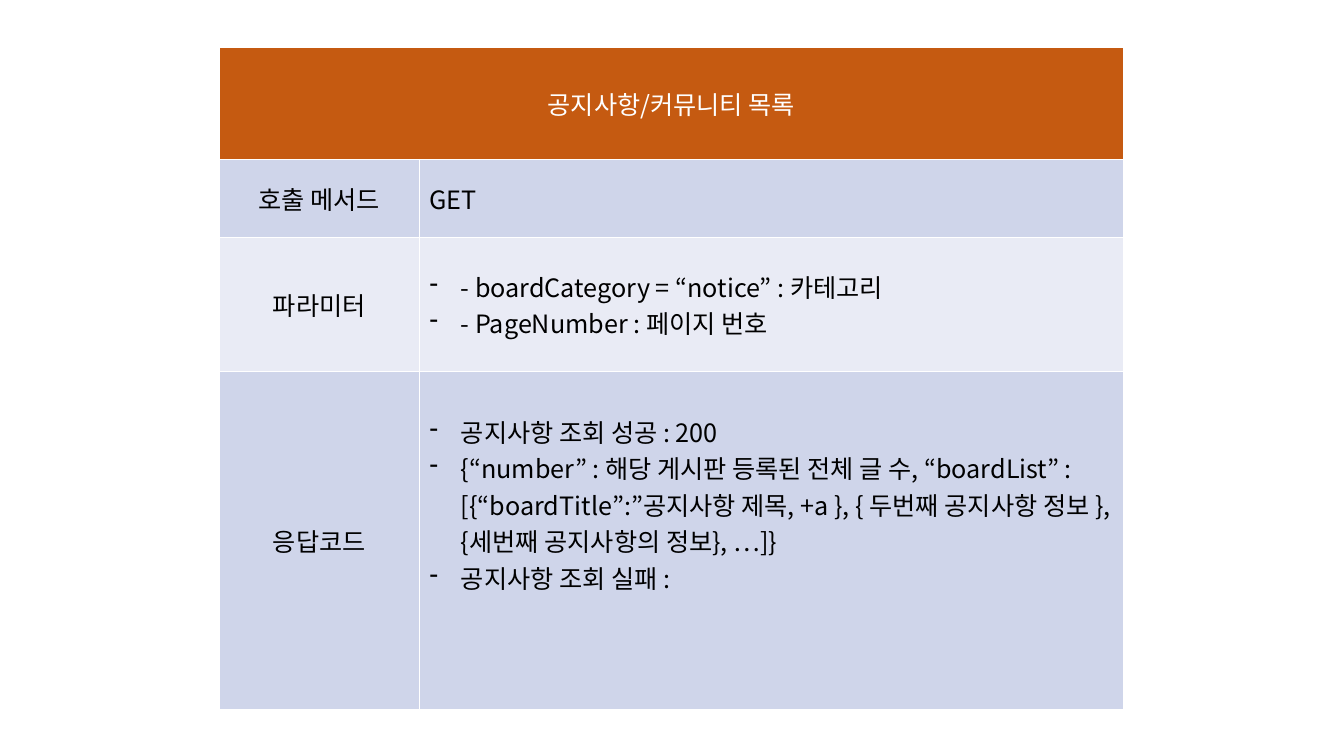
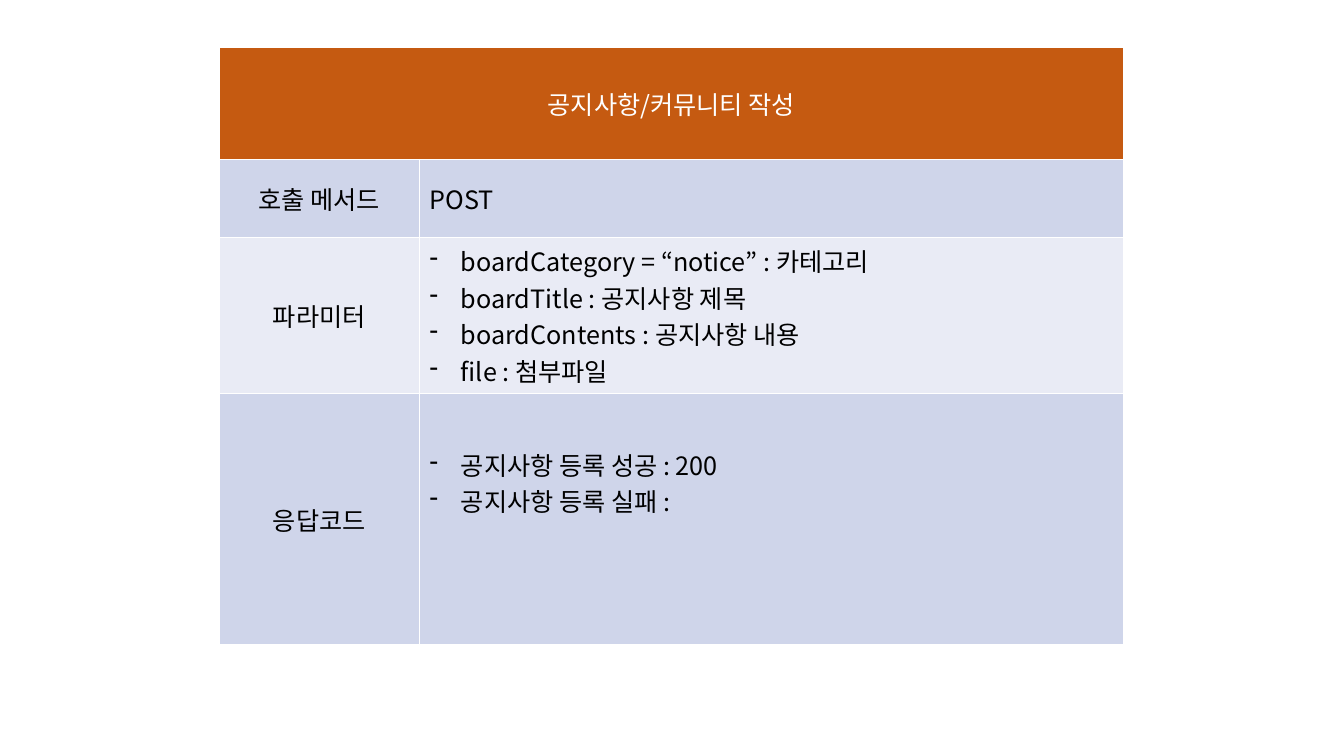
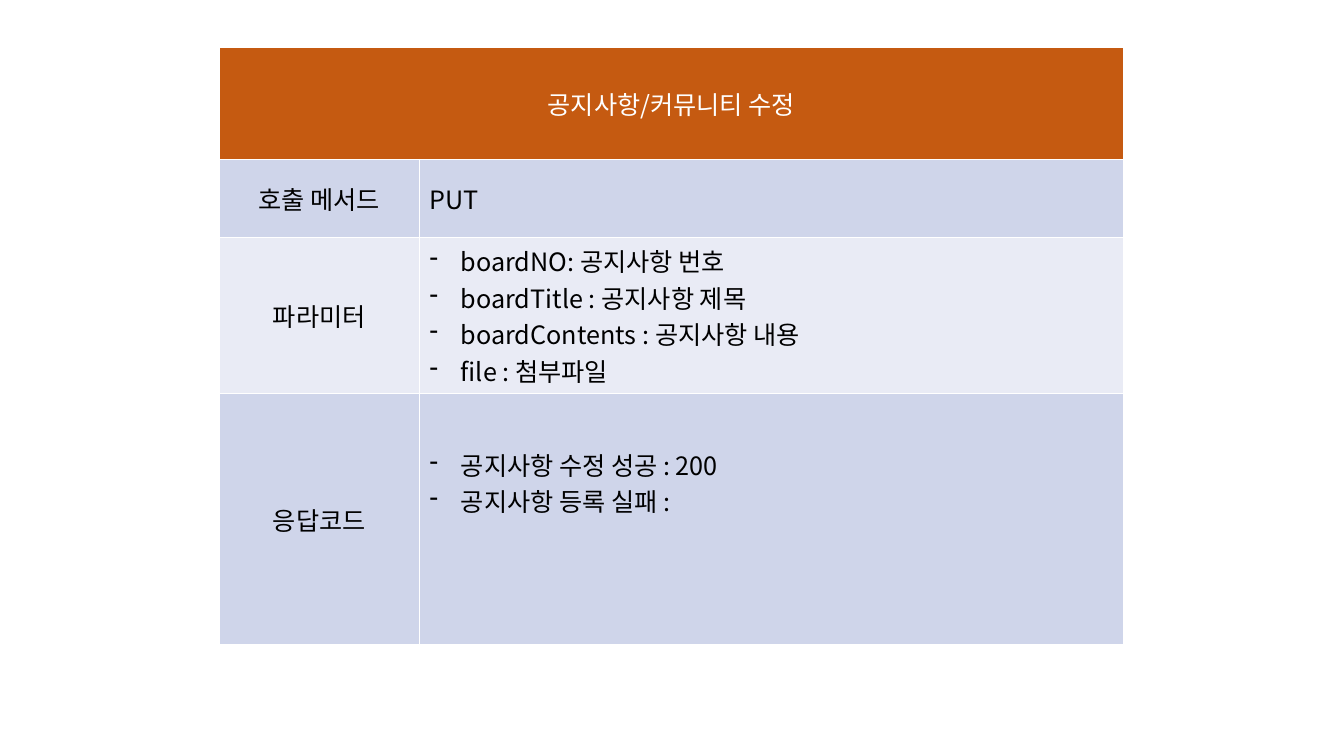
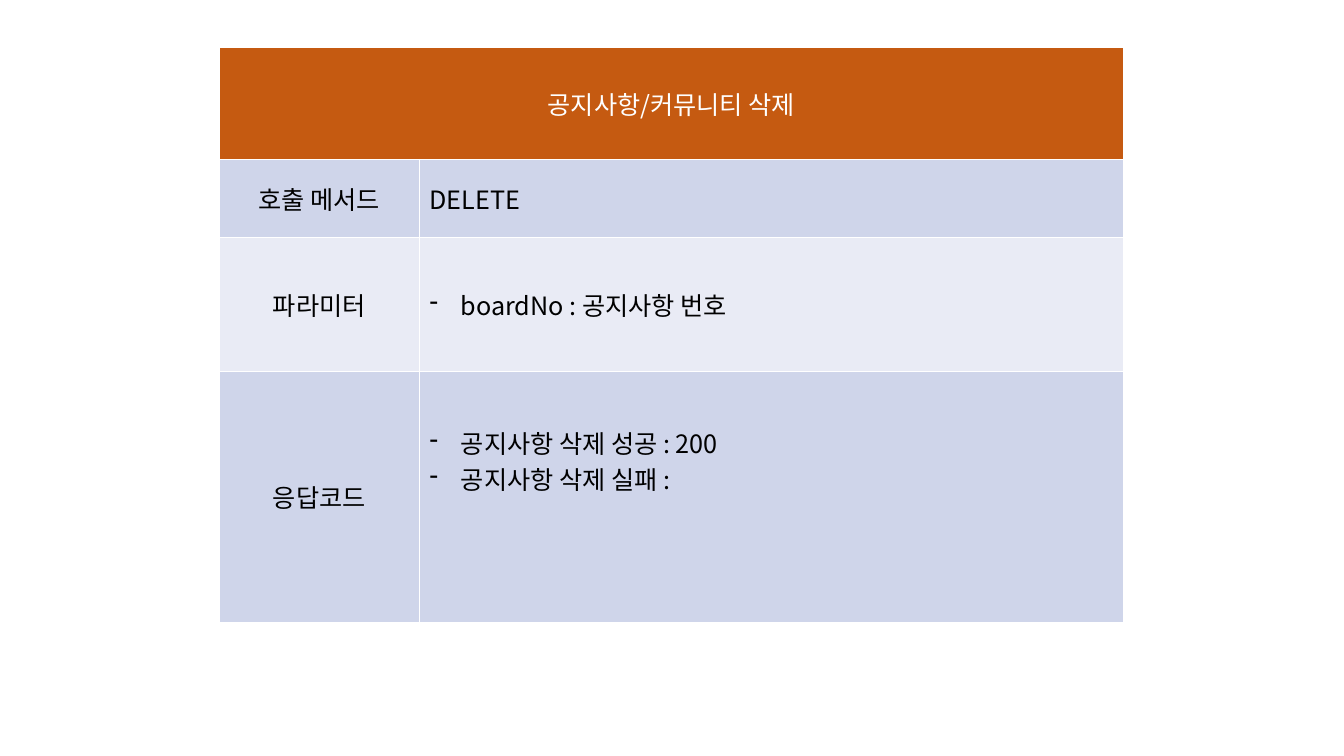
"""Build four table slides that describe the calls of a notice board API."""
from dataclasses import dataclass

from lxml.etree import SubElement as Sub
from pptx import Presentation
from pptx.dml.color import RGBColor as Rgb
from pptx.enum.text import MSO_ANCHOR as Anchor, PP_ALIGN as Align
from pptx.oxml.ns import qn
from pptx.util import Cm, Pt

INK = {"head": "C55A11", "dark": "CFD5EA", "light": "E9EBF5", "white": "FFFFFF", "black": "000000"}
FACE = "Noto Sans CJK KR"
FONT = {"name": FACE, "size": Pt(18), "bold": False}
LEFT, TOP = Cm(5.52), Cm(1.2)
COLS = (Cm(5.05), Cm(17.75))
HEAD, VERB = Cm(2.82), Cm(1.96)
DENT = Cm(0.79)
LIFT = Cm(1.96)


@dataclass(frozen=True)
class Call:
    act: str
    verb: str
    args: tuple[str, ...]
    codes: tuple[str, ...]
    tall: tuple[float, float] = (3.94, 6.32)


@dataclass(frozen=True)
class Row:
    label: str
    lines: tuple[str, ...]
    fill: str
    dash: bool = True
    lift: bool = False


FORM = ("boardTitle : 공지사항 제목", "boardContents : 공지사항 내용", "file : 첨부파일")

CALLS = (
    Call(
        "목록", "GET",
        ("- boardCategory = “notice” : 카테고리", "- PageNumber : 페이지 번호"),
        (
            "공지사항 조회 성공 : 200",
            "{“number” : 해당 게시판 등록된 전체 글 수, “boardList” : "
            "[{“boardTitle”:”공지사항 제목, +a }, { 두번째 공지사항 정보 }, "
            "{세번째 공지사항의 정보}, …]}",
            "공지사항 조회 실패 :",
        ),
        (3.38, 8.52),
    ),
    Call(
        "작성", "POST",
        ("boardCategory = “notice” : 카테고리", *FORM),
        ("공지사항 등록 성공 : 200", "공지사항 등록 실패 :"),
    ),
    Call(
        "수정", "PUT",
        ("boardNO: 공지사항 번호", *FORM),
        ("공지사항 수정 성공 : 200", "공지사항 등록 실패 :"),
    ),
    Call(
        "삭제", "DELETE",
        ("boardNo : 공지사항 번호",),
        ("공지사항 삭제 성공 : 200", "공지사항 삭제 실패 :"),
        (3.38, 6.32),
    ),
)


def add_dash(para) -> None:
    """Give a paragraph a dash bullet with a hanging indent."""
    props = para._p.get_or_add_pPr()
    for key, val in {"marL": DENT, "indent": -DENT}.items():
        props.set(key, str(int(val)))
    Sub(props, qn("a:buFontTx"))
    Sub(props, qn("a:buChar"), char="-")


def fill_cell(cell, lines: tuple[str, ...], fill: str, ink: str = "black",
              align: Align = Align.LEFT, dash: bool = False) -> None:
    """Write lines into a cell and colour it."""
    cell.fill.solid()
    cell.fill.fore_color.rgb = Rgb.from_string(INK[fill])
    cell.vertical_anchor = Anchor.MIDDLE
    frame = cell.text_frame
    frame.text = "\n".join(lines)
    for para in frame.paragraphs:
        para.alignment = align
        if dash:
            add_dash(para)
        for run in para.runs:
            for key, val in FONT.items():
                setattr(run.font, key, val)
            run.font.color.rgb = Rgb.from_string(INK[ink])
            Sub(run.font._element, qn("a:ea"), typeface=FACE)


def add_call(deck, call: Call) -> None:
    """Add one slide with the table of a call."""
    slide = deck.slides.add_slide(deck.slide_layouts[6])
    rows = (
        Row("호출 메서드", (call.verb,), "dark", dash=False),
        Row("파라미터", call.args, "light"),
        Row("응답코드", call.codes, "dark", lift=True),
    )
    highs = (HEAD, VERB, *map(Cm, call.tall))
    grid = slide.shapes.add_table(len(highs), len(COLS), LEFT, TOP, sum(COLS), sum(highs)).table
    for col, wide in zip(grid.columns, COLS):
        col.width = wide
    for line, high in zip(grid.rows, highs):
        line.height = high

    head = grid.cell(0, 0)
    head.merge(grid.cell(0, 1))
    fill_cell(head, (f"공지사항/커뮤니티 {call.act}",), "head", "white", Align.CENTER)
    for num, row in enumerate(rows, 1):
        fill_cell(grid.cell(num, 0), (row.label,), row.fill, align=Align.CENTER)
        body = grid.cell(num, 1)
        fill_cell(body, row.lines, row.fill, dash=row.dash)
        if row.lift:
            body.margin_bottom = LIFT


def main() -> None:
    """Build and save the deck."""
    deck = Presentation()
    deck.slide_width, deck.slide_height = Cm(33.87), Cm(19.05)
    for call in CALLS:
        add_call(deck, call)
    deck.save("out.pptx")


if __name__ == "__main__":
    main()
